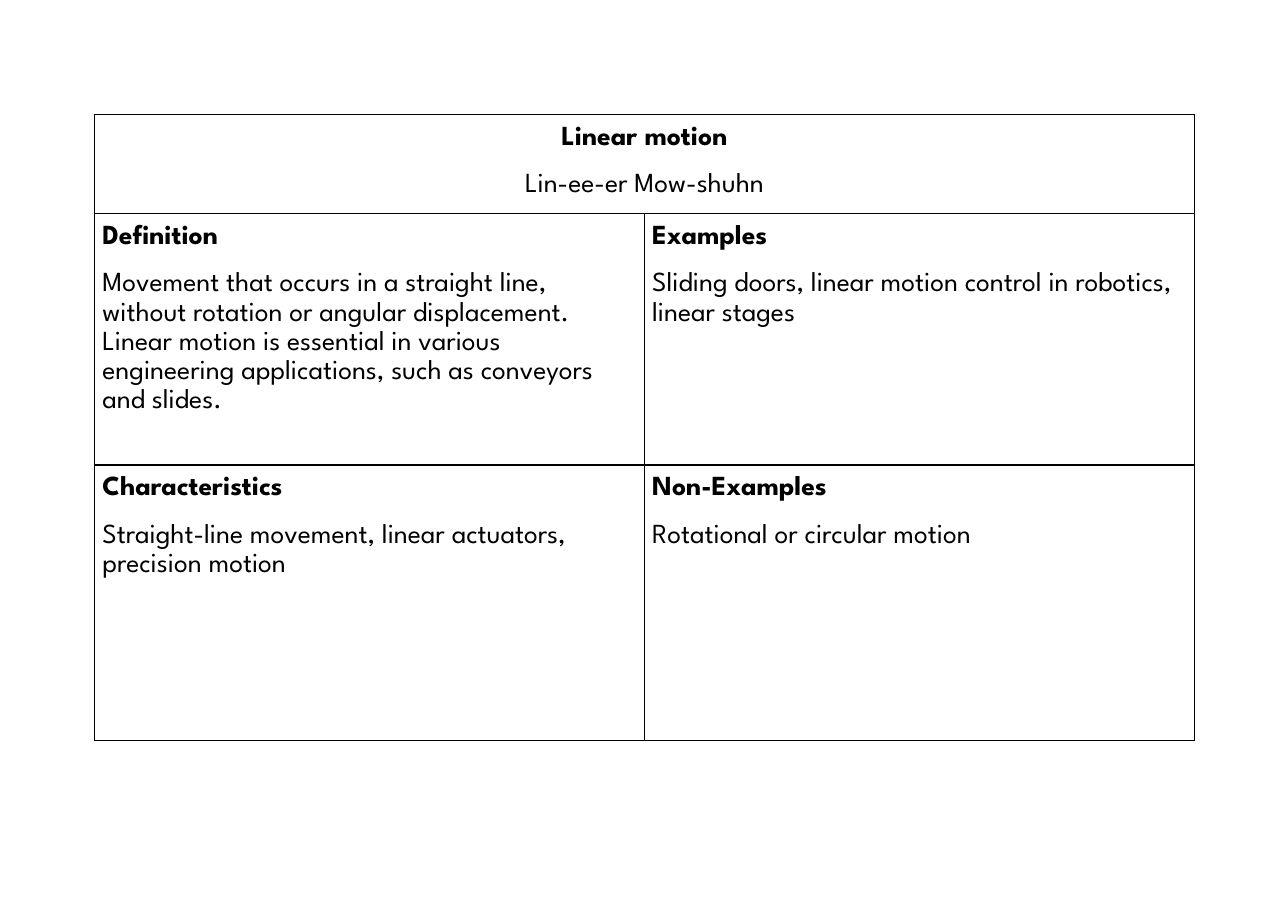
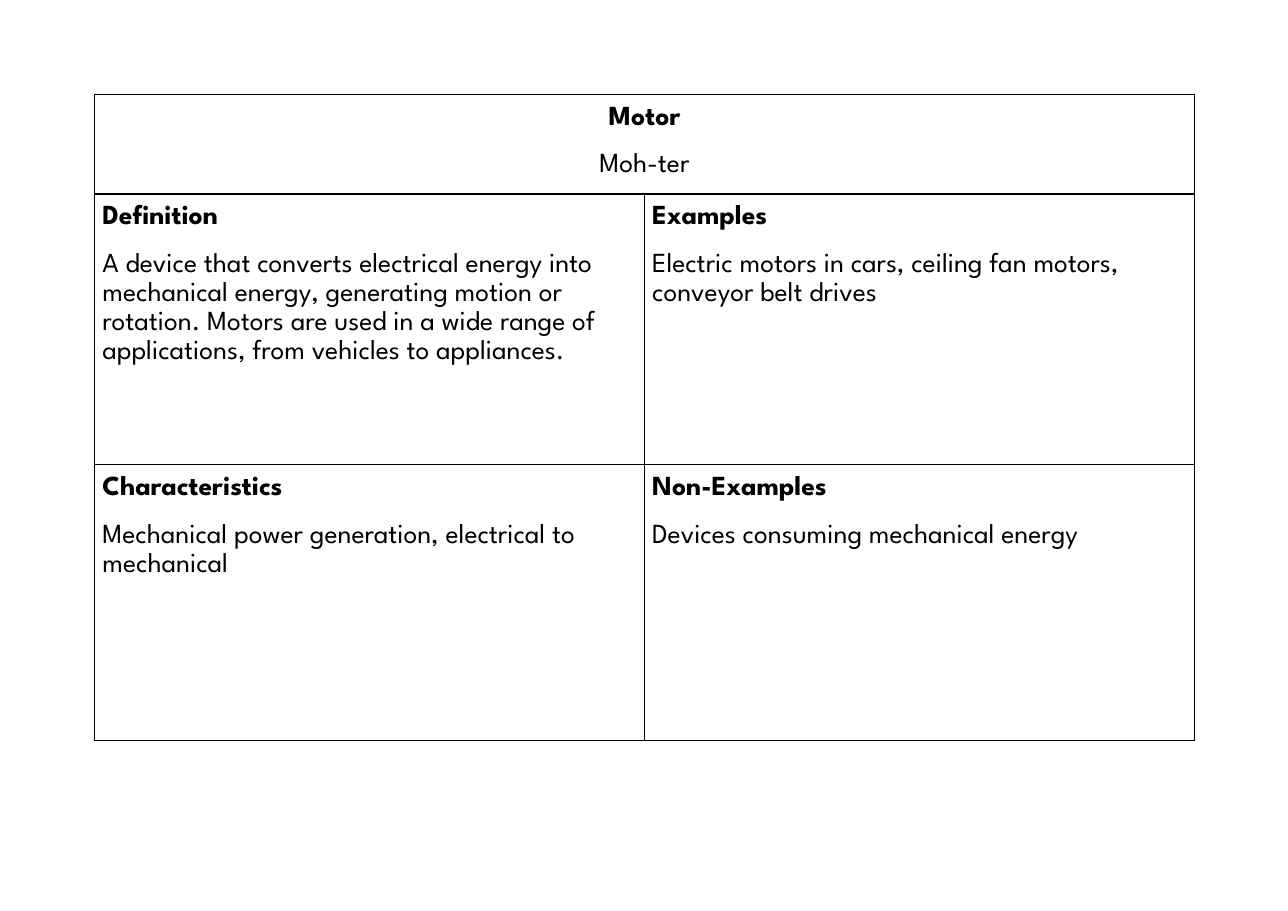
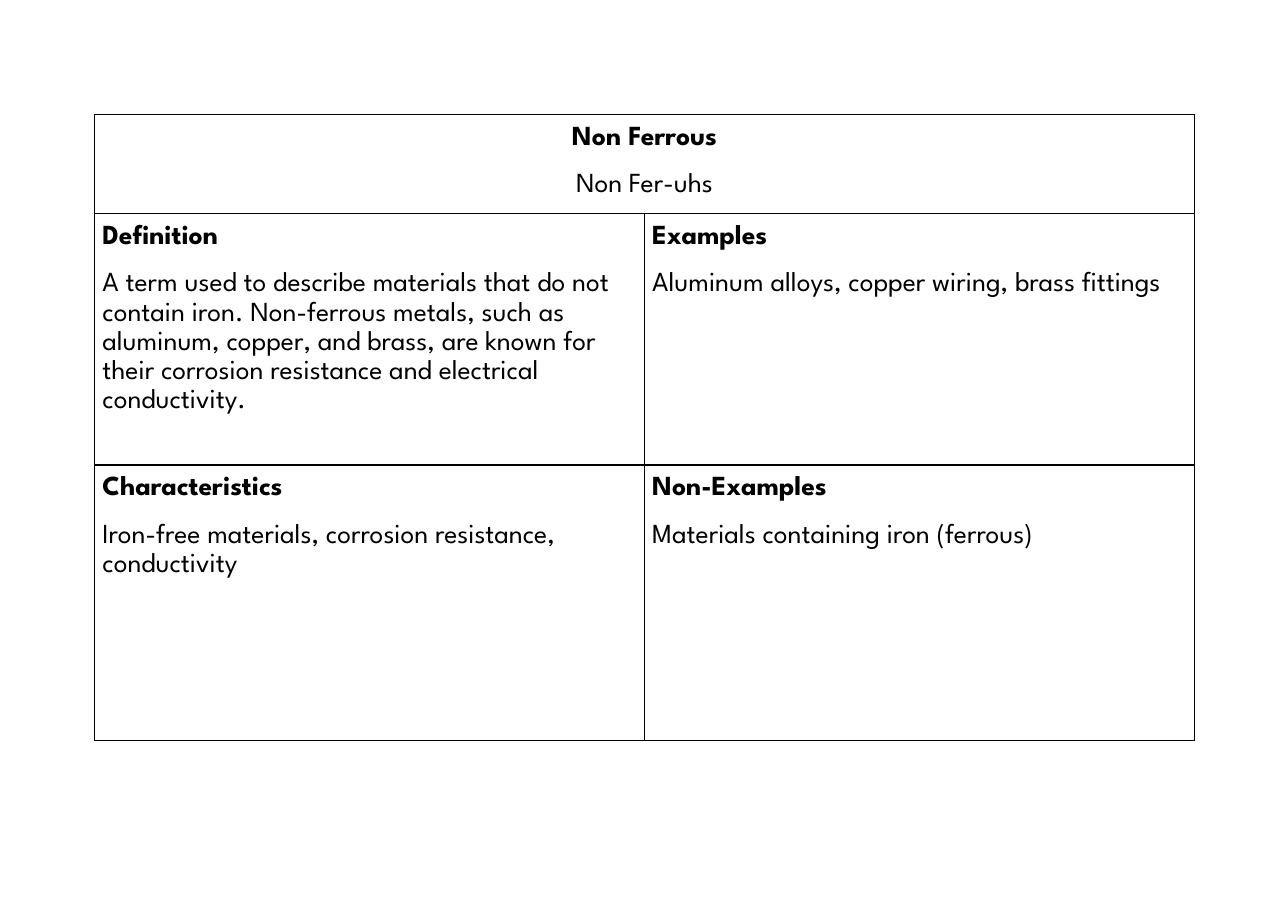
from dataclasses import dataclass

from lxml.etree import SubElement as Sub
from pptx import Presentation
from pptx.dml.color import RGBColor as Rgb
from pptx.enum.text import PP_ALIGN as Align
from pptx.oxml.ns import qn
from pptx.util import Inches, Pt


@dataclass(frozen=True)
class Theme:
    font: str = "League Spartan"
    ink: str = "000000"
    size: float = 18
    rule: float = 1
    gap: float = 12
    lead: float = 1.15
    pad: float = 0.07


# Table frame, in inches
LEFT, BASE = 0.86, 6.72
COL = 4.99
HEAD, FOOT = 0.9, 2.5

LABELS = ("Definition", "Examples", "Characteristics", "Non-Examples")

# Term, sound, height of the middle row, then one text for each label
CARDS = [
    ("Linear motion", "Lin-ee-er Mow-shuhn", 2.28, (
        "Movement that occurs in a straight line, without rotation or "
        "angular displacement. Linear motion is essential in various "
        "engineering applications, such as conveyors and slides.",
        "Sliding doors, linear motion control in robotics, linear stages",
        "Straight-line movement, linear actuators, precision motion",
        "Rotational or circular motion")),
    ("Motor", "Moh-ter", 2.46, (
        "A device that converts electrical energy into mechanical energy, "
        "generating motion or rotation. Motors are used in a wide range of "
        "applications, from vehicles to appliances.",
        "Electric motors in cars, ceiling fan motors, conveyor belt drives",
        "Mechanical power generation, electrical to mechanical",
        "Devices consuming mechanical energy")),
    ("Non Ferrous", "Non Fer-uhs", 2.28, (
        "A term used to describe materials that do not contain iron. "
        "Non-ferrous metals, such as aluminum, copper, and brass, are known "
        "for their corrosion resistance and electrical conductivity.",
        "Aluminum alloys, copper wiring, brass fittings",
        "Iron-free materials, corrosion resistance, conductivity",
        "Materials containing iron (ferrous)")),
]


class Deck:
    def __init__(self, theme):
        self.theme = theme
        self.prs = Presentation()
        self.prs.slide_width = Inches(11.69)
        self.prs.slide_height = Inches(8.27)
        self.slide = None

    def page(self):
        self.slide = self.prs.slides.add_slide(self.prs.slide_layouts[6])

    def grid(self, rows):
        """Add a two-column ruled table that ends at BASE."""
        high = sum(rows)
        table = self.slide.shapes.add_table(
            len(rows), 2, Inches(LEFT), Inches(BASE - high),
            Inches(2 * COL), Inches(high)).table
        table.first_row = table.horz_banding = False
        for row, size in zip(table.rows, rows):
            row.height = Inches(size)
        for cell in table.iter_cells():
            self.frame(cell)
        table.cell(0, 0).merge(table.cell(0, 1))
        return table

    def frame(self, cell):
        """Set the padding, borders and empty fill of a cell."""
        pad = Inches(self.theme.pad)
        cell.margin_left = cell.margin_right = pad
        cell.margin_top = cell.margin_bottom = pad
        props = cell._tc.get_or_add_tcPr()
        for side in ("lnL", "lnR", "lnT", "lnB"):
            line = Sub(props, qn(f"a:{side}"), w=str(Pt(self.theme.rule)))
            fill = Sub(line, qn("a:solidFill"))
            Sub(fill, qn("a:srgbClr"), val=self.theme.ink)
        cell.fill.background()

    def entry(self, cell, head, body, align=Align.LEFT):
        """Fill a cell with a bold heading and a plain paragraph."""
        look = self.theme
        box = cell.text_frame
        first, last = box.paragraphs[0], box.add_paragraph()
        last.space_before = Pt(look.gap)
        for para, text in ((first, head), (last, body)):
            para.text = text
            para.alignment = align
            para.line_spacing = look.lead
            para.font.name = look.font
            para.font.size = Pt(look.size)
            para.font.bold = para is first
            para.font.color.rgb = Rgb.from_string(look.ink)

    def card(self, term, sound, mid, texts):
        """Add a slide with one word card."""
        self.page()
        table = self.grid((HEAD, mid, FOOT))
        self.entry(table.cell(0, 0), term, sound, Align.CENTER)
        for i, (label, text) in enumerate(zip(LABELS, texts)):
            self.entry(table.cell(1 + i // 2, i % 2), label, text)


def main():
    deck = Deck(Theme())
    for card in CARDS:
        deck.card(*card)
    deck.prs.save("out.pptx")


if __name__ == "__main__":
    main()
